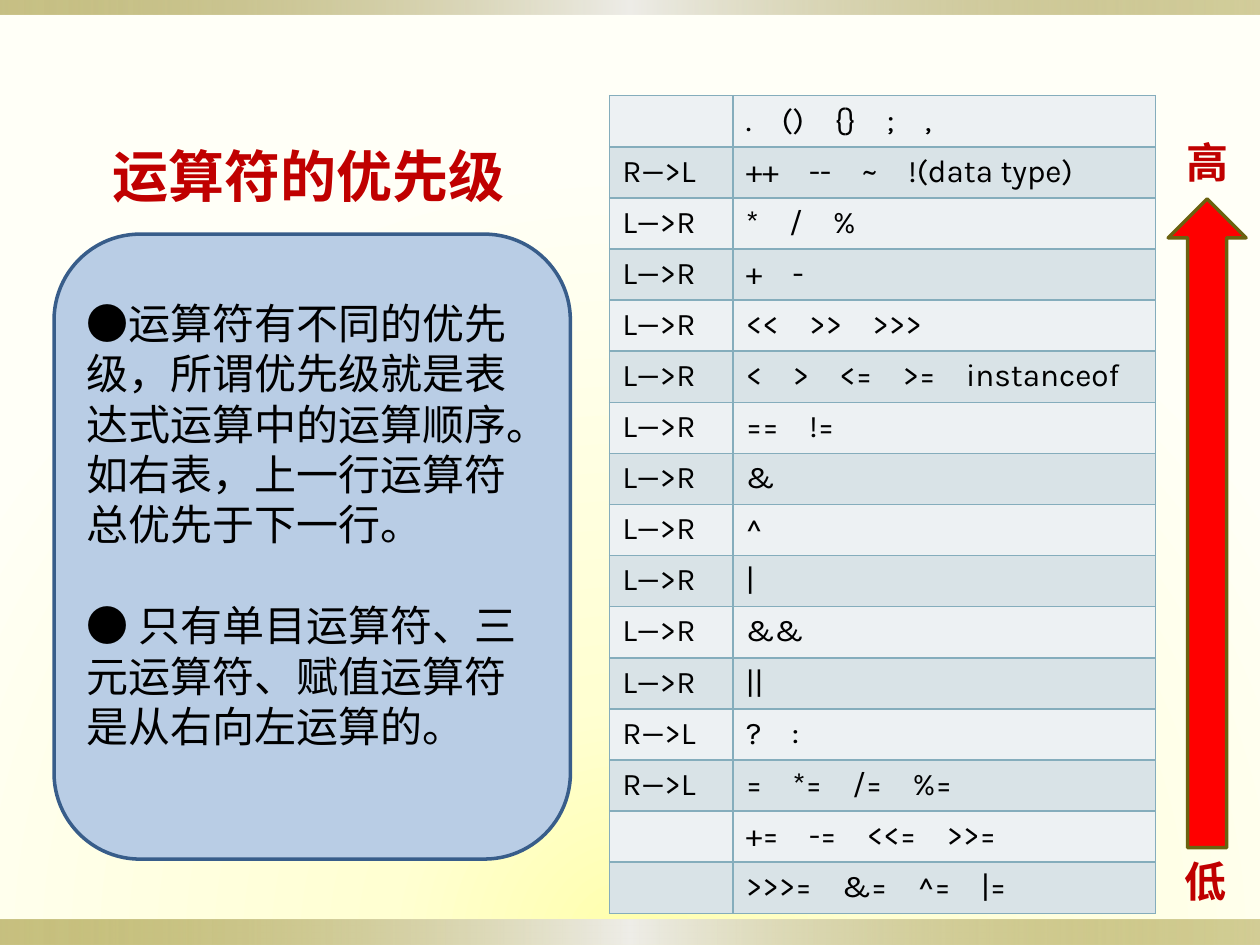
from dataclasses import dataclass

from lxml.etree import SubElement
from pptx import Presentation
from pptx.dml.color import RGBColor
from pptx.enum.shapes import MSO_SHAPE as Shape
from pptx.oxml import parse_xml
from pptx.oxml.ns import nsdecls, qn
from pptx.util import Cm, Pt


# Content
TITLE = "运算符的优先级"
NOTES = [
    "●运算符有不同的优先级，所谓优先级就是表达式运算中的运算顺序。如右表，上一行运算符总优先于下一行。",
    "● 只有单目运算符、三元运算符、赋值运算符是从右向左运算的。",
]
RIGHT, LEFT = "L—>R", "R—>L"
PRECEDENCE = [
    ("", [".", "()", "{}", ";", ","]),
    (LEFT, ["++", "--", "~", "!(data type)"]),
    (RIGHT, ["*", "/", "%"]),
    (RIGHT, ["+", "-"]),
    (RIGHT, ["<<", ">>", ">>>"]),
    (RIGHT, ["<", ">", "<=", ">=", "instanceof"]),
    (RIGHT, ["==", "!="]),
    (RIGHT, ["&"]),
    (RIGHT, ["^"]),
    (RIGHT, ["|"]),
    (RIGHT, ["&&"]),
    (RIGHT, ["||"]),
    (LEFT, ["?", ":"]),
    (LEFT, ["=", "*=", "/=", "%="]),
    ("", ["+=", "-=", "<<=", ">>="]),
    ("", [">>>=", "&=", "^=", "|="]),
]
# Label, left and top in cm
SCALE_ENDS = [("高", 23.67, 2.62), ("低", 23.62, 17.12)]


@dataclass(frozen=True)
class Theme:
    text_font: str = "Arial"
    code_font: str = "Karla"
    cjk_font: str = "Noto Sans CJK SC"
    title_size: int = 32
    body_size: int = 24
    code_size: int = 18
    operator_gap: int = 13
    line_pitch: float = 1.2
    ink: str = "000000"
    accent: str = "C00000"
    panel: str = "B9CDE5"
    panel_line: str = "385D8A"
    arrow: str = "FF0000"
    arrow_line: str = "6B6210"
    grid: str = "85ADBC"
    bands: tuple = ("EDF1F3", "D9E3E7")
    # Gradient stops: position, colour, opacity in percent
    page: tuple = ((0, "FFFFAC", 100), (31, "FFFFD2", 100), (100, "FFFFF7", 100))
    bar: tuple = ((0, "918415", 50), (50, "EEEDE8", 100), (100, "918415", 40))


THEME = Theme()
WIDTH, HEIGHT = 25.4, 19.05


def color(value):
    return RGBColor.from_string(value)


def paint_gradient(properties, stops, direction):
    """Swap the solid fill in a properties element for a gradient."""
    marks = "".join(
        f'<a:gs pos="{position * 1000}"><a:srgbClr val="{value}">'
        f'<a:alpha val="{opacity * 1000}"/></a:srgbClr></a:gs>'
        for position, value, opacity in stops
    )
    gradient = parse_xml(
        f'<a:gradFill {nsdecls("a")} rotWithShape="1">'
        f"<a:gsLst>{marks}</a:gsLst>{direction}</a:gradFill>"
    )
    properties.replace(properties.find(qn("a:solidFill")), gradient)


def add_shape(page, kind, area, fill, line=None):
    shape = page.shapes.add_shape(kind, *map(Cm, area))
    shape.shadow.inherit = False
    shape.fill.solid()
    shape.fill.fore_color.rgb = color(fill)
    if line:
        shape.line.color.rgb = color(line)
        shape.line.width = Pt(2)
    else:
        shape.line.fill.background()
    return shape


def add_span(para, text, size, font, ink=THEME.ink, bold=False):
    span = para.add_run()
    span.text = text
    span.font.size = Pt(size)
    span.font.name = font
    span.font.bold = bold
    span.font.color.rgb = color(ink)
    SubElement(span.font._element, qn("a:ea")).set("typeface", THEME.cjk_font)
    return span


def add_text(page, area, texts, size, font, **style):
    box = page.shapes.add_textbox(*map(Cm, area))
    frame = box.text_frame
    frame.word_wrap = True
    pitch = Pt(size * THEME.line_pitch)
    for index, text in enumerate(texts):
        para = frame.add_paragraph() if index else frame.paragraphs[0]
        para.line_spacing = pitch
        if index:
            para.space_before = pitch
        add_span(para, text, size, font, **style)


def style_cell(cell, fill):
    cell.fill.solid()
    cell.fill.fore_color.rgb = color(fill)
    properties = cell._tc.get_or_add_tcPr()
    for index, side in enumerate("LRTB"):
        properties.insert(index, parse_xml(
            f'<a:ln{side} {nsdecls("a")} w="{Pt(1)}"><a:solidFill>'
            f'<a:srgbClr val="{THEME.grid}"/></a:solidFill></a:ln{side}>'
        ))


def add_operators(para, operators):
    """Write the operators with one widened space between neighbours."""
    for index, operator in enumerate(operators):
        if index:
            gap = add_span(para, " ", THEME.code_size, THEME.code_font)
            gap.font._element.set("spc", str(THEME.operator_gap * 100))
        add_span(para, operator, THEME.code_size, THEME.code_font)


def add_precedence_table(page, left, top, widths, row_height):
    table = page.shapes.add_table(
        len(PRECEDENCE), len(widths), Cm(left), Cm(top),
        Cm(sum(widths)), Cm(row_height * len(PRECEDENCE)),
    ).table
    table.first_row = table.horz_banding = False
    for column, width in zip(table.columns, widths):
        column.width = Cm(width)
    for index, (order, operators) in enumerate(PRECEDENCE):
        cells = table.rows[index].cells
        for cell in cells:
            style_cell(cell, THEME.bands[index % 2])
        order_cell, operator_cell = [cell.text_frame.paragraphs[0] for cell in cells]
        if order:
            add_span(order_cell, order, THEME.code_size, THEME.code_font)
        add_operators(operator_cell, operators)


def main():
    deck = Presentation()
    deck.slide_width, deck.slide_height = Cm(WIDTH), Cm(HEIGHT)
    page = deck.slides.add_slide(deck.slide_layouts[6])

    # Background and edge bars
    page.background.fill.solid()
    paint_gradient(
        page._element.find(".//" + qn("p:bgPr")), THEME.page,
        '<a:path path="circle"><a:fillToRect l="50000" t="100000" r="50000"/></a:path>',
    )
    for top, height in ((HEIGHT - 0.51, 0.51), (0, 0.3)):
        bar = add_shape(page, Shape.RECTANGLE, (0, top, WIDTH, height), THEME.bar[0][1])
        paint_gradient(bar._element.spPr, THEME.bar, '<a:lin ang="0" scaled="0"/>')

    # Explanation panel
    add_shape(page, Shape.ROUNDED_RECTANGLE, (1.09, 4.72, 10.41, 12.6),
              THEME.panel, THEME.panel_line)
    add_text(page, (2.01, 2.72, 8.61, 1.63), [TITLE], THEME.title_size,
             THEME.text_font, ink=THEME.accent, bold=True)
    add_text(page, (1.5, 5.87, 9.6, 11.46), NOTES, THEME.body_size, THEME.text_font)

    # Operators from highest to lowest precedence
    add_precedence_table(page, 12.29, 1.93, (2.49, 8.51), 1.03)

    # Precedence scale
    add_shape(page, Shape.UP_ARROW, (23.55, 4.01, 1.57, 13.08),
              THEME.arrow, THEME.arrow_line)
    for label, left, top in SCALE_ENDS:
        add_text(page, (left, top, 1.3, 1.27), [label], THEME.body_size,
                 THEME.cjk_font, ink=THEME.accent, bold=True)

    deck.save("out.pptx")


if __name__ == "__main__":
    main()
